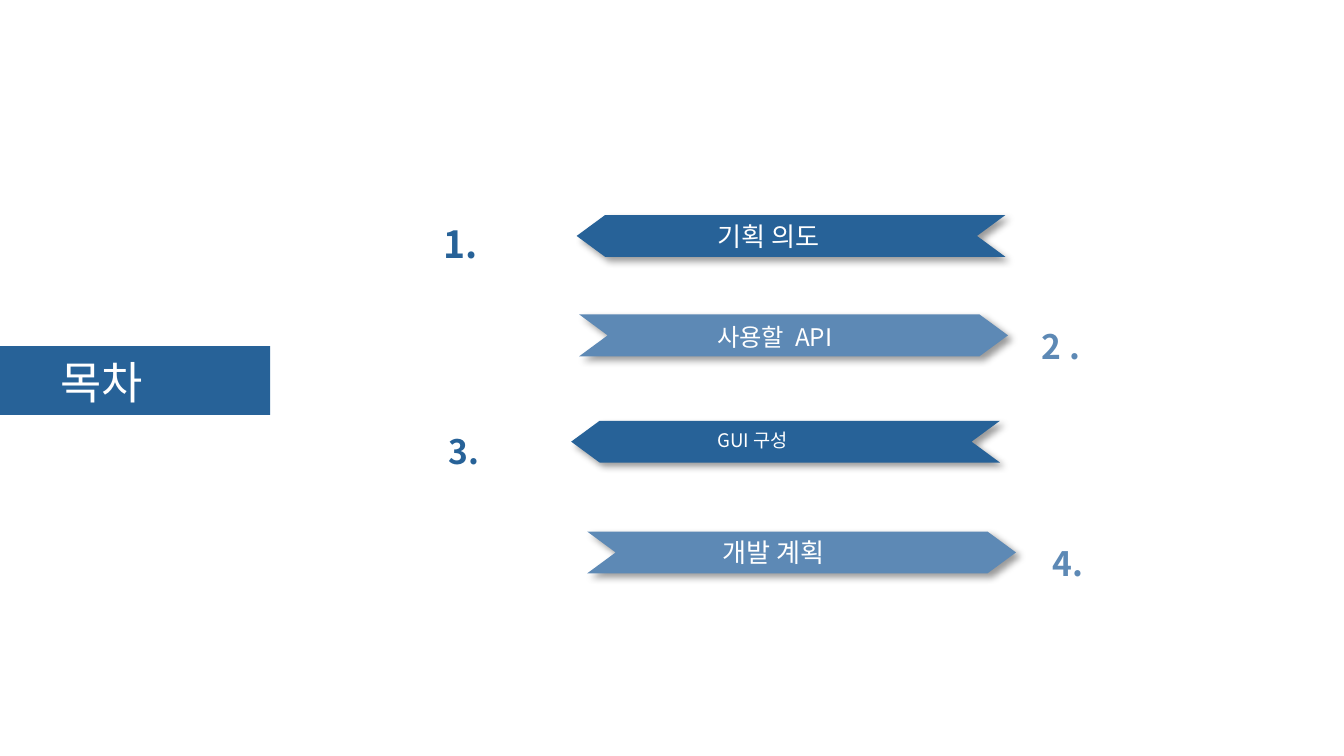
from dataclasses import dataclass

from lxml import etree
from pptx import Presentation
from pptx.dml.color import RGBColor
from pptx.enum import shapes, text
from pptx.oxml import ns
from pptx.util import Pt

FONT = "Noto Sans CJK KR"
DARK = RGBColor(0x27, 0x62, 0x98)
LIGHT = RGBColor(0x5D, 0x89, 0xB5)
WHITE = RGBColor(0xFF, 0xFF, 0xFF)
BLACK = RGBColor(0, 0, 0)
ARROW_W, ARROW_H = 229.7, 22.4
INSET_X, INSET_Y = 7.2, 3.6
NUMBER_INSET_X, NUMBER_INSET_Y = 5.1, 2.7


@dataclass(frozen=True)
class Label:
    text: str
    x: float
    y: float
    w: float
    h: float
    size: float


@dataclass(frozen=True)
class Item:
    number: Label
    title: Label
    arrow_x: float
    arrow_y: float
    points_left: bool

    @property
    def color(self) -> RGBColor:
        return DARK if self.points_left else LIGHT


ITEMS = [
    Item(Label("1.", 232.6, 115.9, 47.5, 29.5, 20),
         Label("기획 의도", 377.3, 114.5, 95, 24.5, 14), 308.9, 115.2, True),
    Item(Label("2 .", 553, 171.4, 43.9, 27.4, 18),
         Label("사용할  API", 377.3, 169.2, 95.8, 23, 13), 310.3, 168.5, False),
    Item(Label("3.", 235.4, 228.2, 38.9, 27.4, 18),
         Label("GUI 구성", 377.3, 226.1, 92.9, 19.4, 10), 306, 225.4, True),
    Item(Label("4.", 558.7, 288, 38.9, 27.4, 18),
         Label("개발 계획", 380.2, 283.7, 81.4, 24.5, 14), 314.6, 284.8, False),
]
HEADING = Label("목차", 25.2, 186.5, 105.1, 36, 24)


def add_label(parent, label: Label, color: RGBColor, bold: bool = False,
              wrap: bool = False, inset_x: float = INSET_X,
              inset_y: float = INSET_Y) -> None:
    sp = parent.add_textbox(Pt(label.x), Pt(label.y), Pt(label.w), Pt(label.h))
    tf = sp.text_frame
    tf.text = label.text
    tf.word_wrap = wrap
    tf.vertical_anchor = text.MSO_ANCHOR.MIDDLE
    tf.margin_left = tf.margin_right = Pt(inset_x)
    tf.margin_top = tf.margin_bottom = Pt(inset_y)
    r = tf.paragraphs[0].runs[0]
    r.font.name = FONT
    r.font.size = Pt(label.size)
    r.font.bold = bold
    r.font.color.rgb = color
    ea = etree.SubElement(r.font._element, ns.qn("a:ea"))
    ea.set("typeface", FONT)


def add_block(parent, kind: shapes.MSO_SHAPE, x: float, y: float, w: float,
              h: float, color: RGBColor):
    sp = parent.add_shape(kind, Pt(x), Pt(y), Pt(w), Pt(h))
    sp.fill.solid()
    sp.fill.fore_color.rgb = color
    sp.line.fill.background()
    sp.shadow.inherit = False
    return sp


def add_shadow(sp) -> None:
    effects = sp._element.spPr.find(ns.qn("a:effectLst"))
    shadow = etree.SubElement(
        effects, ns.qn("a:outerShdw"), blurRad=str(Pt(4)), dist=str(Pt(3)),
        dir=str(45 * 60000), algn="tl", rotWithShape="0")
    color = etree.SubElement(shadow, ns.qn("a:srgbClr"), val=str(BLACK))
    etree.SubElement(color, ns.qn("a:alpha"), val="40000")


def add_item(s, item: Item) -> None:
    add_label(s.shapes, item.number, item.color, bold=True,
              inset_x=NUMBER_INSET_X, inset_y=NUMBER_INSET_Y)
    group = s.shapes.add_group_shape()
    arrow = add_block(group.shapes, shapes.MSO_SHAPE.CHEVRON, item.arrow_x,
                      item.arrow_y, ARROW_W, ARROW_H, item.color)
    arrow.adjustments[0] = 0.68
    arrow.rotation = 180 if item.points_left else 0
    add_shadow(arrow)
    add_label(group.shapes, item.title, WHITE)


def main() -> None:
    prs = Presentation()
    prs.slide_width, prs.slide_height = Pt(720), Pt(405)
    s = prs.slides.add_slide(prs.slide_layouts[6])
    add_block(s.shapes, shapes.MSO_SHAPE.RECTANGLE, 0, 185.5, 144.7, 36.8, DARK)
    for item in ITEMS:
        add_item(s, item)
    add_label(s.shapes, HEADING, WHITE, wrap=True)
    prs.save("out.pptx")


if __name__ == "__main__":
    main()
